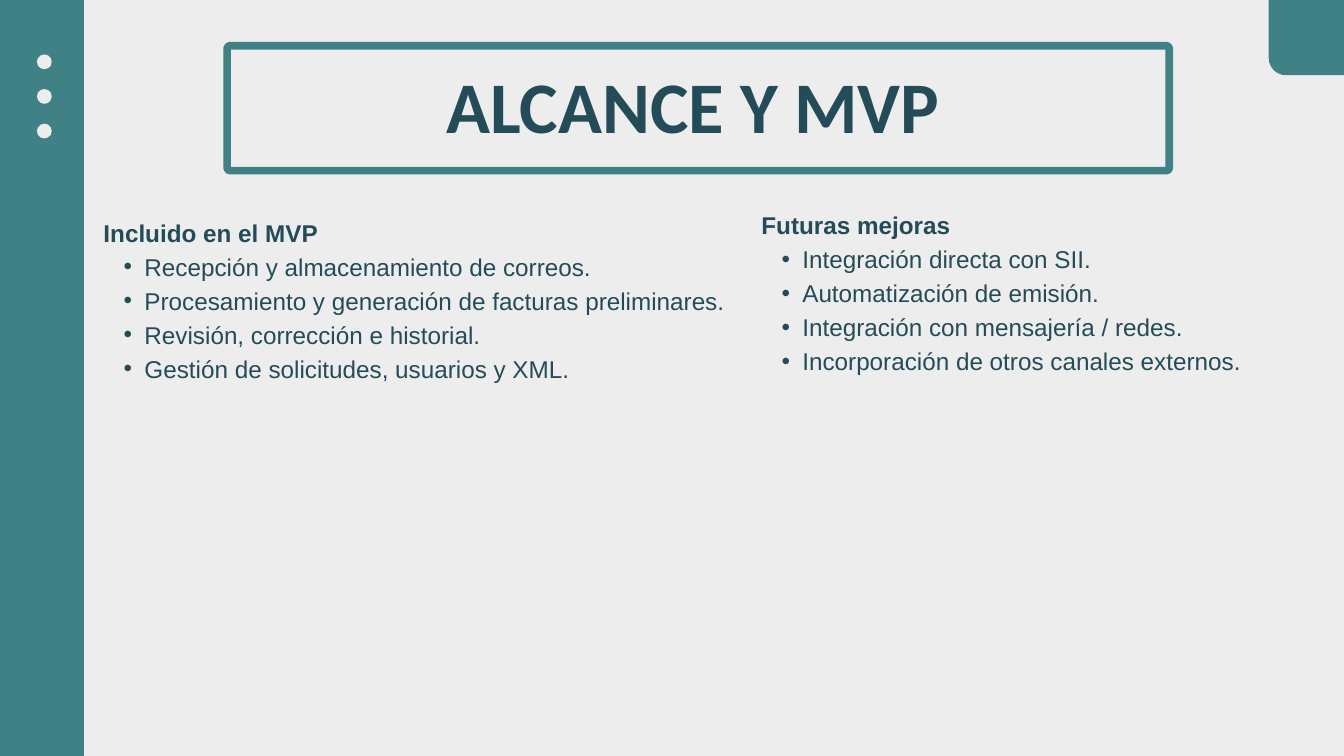
from pptx import Presentation
from pptx import util as u
from pptx.dml.color import RGBColor
from pptx.enum import shapes, text
from pptx.oxml.ns import qn
from lxml import etree

# Content
TITLE = "ALCANCE Y MVP"
LISTS = [
    # left, top, width, heading, items
    (1.54, 3.17, 9.27, "Incluido en el MVP", [
        "Recepción y almacenamiento de correos.",
        "Procesamiento y generación de facturas preliminares.",
        "Revisión, corrección e historial.",
        "Gestión de solicitudes, usuarios y XML.",
    ]),
    (11.33, 3.06, 8.19, "Futuras mejoras", [
        "Integración directa con SII.",
        "Automatización de emisión.",
        "Integración con mensajería / redes.",
        "Incorporación de otros canales externos.",
    ]),
]


class Theme:
    back = RGBColor.from_string("EDEDED")
    teal = RGBColor.from_string("408186")
    ink = RGBColor.from_string("244C58")
    head, body = "Calibri", "Arial"
    big, small = 77.8, 26
    big_line, small_line = 95.7, 36.4


WIDE, HIGH = 20, 11.25
INDENT, HANG = 0.61, 0.31
DOTS, DOT, STEP = 3, 0.22, 0.515
KIND = shapes.MSO_SHAPE


def place(shape, *box):
    shape.left, shape.top, shape.width, shape.height = map(u.Inches, box)


def draw(slide, kind, box, fill=None, line=None, round_by=None):
    shape = slide.shapes.add_shape(kind, *map(u.Inches, box))
    shape.shadow.inherit = False
    if fill is None:
        shape.fill.background()
    else:
        shape.fill.solid()
        shape.fill.fore_color.rgb = fill
    if line is None:
        shape.line.fill.background()
    else:
        shape.line.color.rgb = line
        shape.line.width = u.Pt(8.25)
    if round_by is not None:
        shape.adjustments[0] = round_by


def prep(frame):
    frame.margin_left = frame.margin_right = 0
    frame.margin_top = frame.margin_bottom = 0
    frame.word_wrap = True
    frame.auto_size = text.MSO_AUTO_SIZE.NONE
    frame.vertical_anchor = text.MSO_ANCHOR.TOP


def style(para, face, size, line, bold):
    para.line_spacing = u.Pt(line)
    para.space_before = u.Pt(0)
    for run in para.runs:
        run.font.name = face
        run.font.size = u.Pt(size)
        run.font.bold = bold
        run.font.color.rgb = Theme.ink


def bullet(para):
    props = para._p.get_or_add_pPr()
    props.set("lvl", "1")
    props.set("marL", str(u.Inches(INDENT)))
    props.set("indent", str(-u.Inches(HANG)))
    etree.SubElement(props, qn("a:buFont")).set("typeface", Theme.body)
    etree.SubElement(props, qn("a:buChar")).set("char", "•")


def add_list(slide, left, top, width, head, items):
    box = slide.shapes.add_textbox(*map(u.Inches, (left, top, width, 2.5)))
    frame = box.text_frame
    frame.text = "\n".join([head, *items])
    prep(frame)
    for row, para in enumerate(frame.paragraphs):
        if row:
            bullet(para)
        style(para, Theme.body, Theme.small, Theme.small_line, row == 0)


def main():
    deck = Presentation()
    deck.slide_width, deck.slide_height = u.Inches(WIDE), u.Inches(HIGH)
    slide = deck.slides.add_slide(deck.slide_layouts[5])
    slide.background.fill.solid()
    slide.background.fill.fore_color.rgb = Theme.back

    # Title and its frame
    draw(slide, KIND.ROUNDED_RECTANGLE, (3.38, 0.68, 14.02, 1.86),
         line=Theme.teal, round_by=0.025)
    title = slide.shapes.title
    place(title, 3.4, 0.87, 13.82, 1.31)
    title.text_frame.text = TITLE
    prep(title.text_frame)
    para = title.text_frame.paragraphs[0]
    para.alignment = text.PP_ALIGN.CENTER
    style(para, Theme.head, Theme.big, Theme.big_line, True)

    # Side band and corner tab, both bleeding off the edge
    draw(slide, KIND.RECTANGLE, (-2.13, -0.96, 3.38, 13.17), Theme.teal)
    draw(slide, KIND.ROUNDED_RECTANGLE, (18.88, -0.42, 1.43, 1.54),
         Theme.teal, round_by=0.18)

    # Dots on the band
    for row in range(DOTS):
        draw(slide, KIND.OVAL, (0.55, 0.81 + row * STEP, DOT, DOT), Theme.back)

    # Two lists
    for part in LISTS:
        add_list(slide, *part)

    deck.save("out.pptx")


if __name__ == "__main__":
    main()
